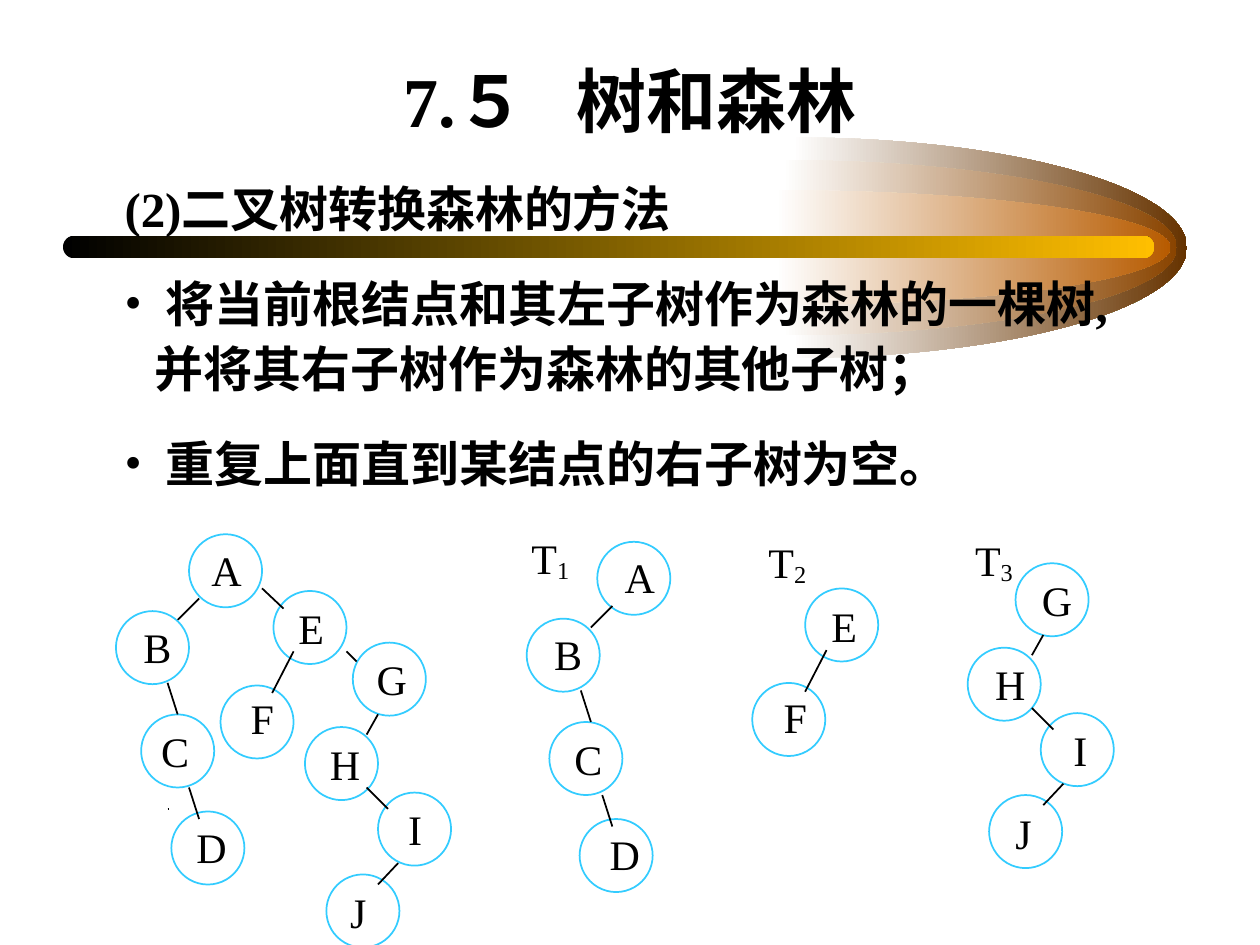
import lxml.etree
import pptx
import pptx.dml.color
import pptx.enum.shapes
import pptx.enum.text
import pptx.oxml.ns
import pptx.util

RGBColor = pptx.dml.color.RGBColor
BLACK = RGBColor(0x00, 0x00, 0x00)
WHITE = RGBColor(0xFF, 0xFF, 0xFF)
GOLD = RGBColor(0xFF, 0xBF, 0x00)
BROWNS = [RGBColor(0x66, 0x33, 0x00), RGBColor(0x89, 0x44, 0x00), RGBColor(0xB7, 0x5B, 0x00)]
RING = RGBColor(0x33, 0xCC, 0xFF)
FONT = "Times New Roman"
qn = pptx.oxml.ns.qn

deck = pptx.Presentation()
deck.slide_width = pptx.util.Inches(10)
deck.slide_height = pptx.util.Inches(7.5)
page = deck.slides.add_slide(deck.slide_layouts[5])
shapes = page.shapes

# The grid has 100 columns and 75 rows
COLUMN = deck.slide_width / 100
ROW = deck.slide_height / 75


def cells(left, top, width, height):
    return [round(left * COLUMN), round(top * ROW), round(width * COLUMN), round(height * ROW)]


def style(para, size, bold=False):
    for span in para.runs:
        span.font.name = FONT
        span.font.size = pptx.util.Pt(size)
        span.font.bold = bold
        span.font.color.rgb = BLACK


# Comet of nested half ellipses, then the bar: shape and end colours
KAPPA = 0.55  # control point distance of a quarter ellipse
decoration = []
for (left, top, height), brown in zip([(62.9, 10.9, 17.5), (62.1, 12.7, 13.9), (61.6, 15.1, 9.1)], BROWNS):
    x, y, width, tall = cells(left, top, 31.3, height)
    half = tall // 2
    builder = shapes.build_freeform(x, y)
    builder.add_line_segments([(x + width, y + half), (x, y + tall), (x, y + half)], close=True)
    comet = builder.convert_to_shape()
    # Turn the first two sides into quarter ellipses
    quarters = [
        [(width * KAPPA, 0), (width, half * (1 - KAPPA))],
        [(width, half * (1 + KAPPA)), (width * KAPPA, tall)],
    ]
    for side, controls in zip(list(comet._element.iter(qn("a:lnTo"))), quarters):
        side_end = side[0]
        curve = lxml.etree.Element(qn("a:cubicBezTo"))
        for control_x, control_y in controls:
            point = lxml.etree.SubElement(curve, qn("a:pt"))
            point.set("x", str(round(control_x)))
            point.set("y", str(round(control_y)))
        curve.append(side_end)
        side.getparent().replace(side, curve)
    decoration.append((comet, WHITE, brown))

bar = shapes.add_shape(pptx.enum.shapes.MSO_SHAPE.ROUNDED_RECTANGLE, *cells(5, 18.7, 86.6, 1.8))
bar.adjustments[0] = 0.5
decoration.append((bar, BLACK, GOLD))

for shape, first, last in decoration:
    shape.shadow.inherit = False
    shape.line.fill.background()
    shape.fill.gradient()
    shape.fill.gradient_angle = 0
    for stop, colour, position in zip(shape.fill.gradient_stops, (first, last), (0, 1)):
        stop.color.rgb = colour
        stop.position = position

# Title, with a widened space after the number
title = shapes.title
title.left, title.top, title.width, title.height = cells(7.5, 4.2, 85, 7.5)
title.text_frame.auto_size = pptx.enum.text.MSO_AUTO_SIZE.NONE
title.text_frame.vertical_anchor = pptx.enum.text.MSO_ANCHOR.BOTTOM
para = title.text_frame.paragraphs[0]
para.alignment = pptx.enum.text.PP_ALIGN.CENTER
for text in ("7.５", " ", "树和森林"):
    para.add_run().text = text
style(para, 40, bold=True)
para.runs[1]._r.get_or_add_rPr().set("spc", "2000")

# Method: a heading and two bullets
box = shapes.add_textbox(*cells(8.9, 13.2, 83.6, 26.4))
box.text_frame.word_wrap = True
box.text_frame.text = "\n".join([
    "(2)二叉树转换森林的方法",
    " 将当前根结点和其左子树作为森林的一棵树,并将其右子树作为森林的其他子树；",
    " 重复上面直到某结点的右子树为空。",
])
for index, para in enumerate(box.text_frame.paragraphs):
    para.line_spacing = 1.1
    if index > 0:
        para.space_before = pptx.util.Pt(17.5)
        properties = para._p.get_or_add_pPr()
        indent = round(2.4 * COLUMN)
        properties.set("marL", str(indent))
        properties.set("indent", str(-indent))
        lxml.etree.SubElement(properties, qn("a:buFont")).set("typeface", FONT)
        lxml.etree.SubElement(properties, qn("a:buChar")).set("char", "•")
    style(para, 28, bold=True)

# Binary tree: circle left and top, letter left and top
NODES = {
    "A": (15, 42.4, 15.8, 42.7),
    "B": (9.2, 48.5, 10.4, 48.8),
    "C": (11.2, 56.7, 11.8, 57.1),
    "D": (13.6, 64.4, 14.6, 64.7),
    "E": (21.7, 46.9, 22.7, 47.3),
    "F": (17.5, 54.4, 18.9, 54.5),
    "G": (28, 51, 28.9, 51.4),
    "H": (24.2, 57.7, 25.2, 58.1),
    "I": (30, 62.9, 31.4, 63.3),
    "J": (25.9, 69.4, 26.8, 69.9),
}
EDGES = {
    "AB": (15.8, 47.5, 14.1, 49.2),
    "BC": (13.3, 54.2, 14.1, 56.7),
    "CD": (15, 62.5, 15.8, 65),
    "AE": (20.8, 46.7, 22.5, 48.3),
    "EF": (23.3, 51.7, 21.6, 55),
    "EG": (27.5, 51.7, 28.3, 52.5),
    "GH": (30, 56.7, 29.1, 58.3),
    "HI": (29.1, 62.5, 30.8, 64.2),
    "IJ": (31.6, 68.5, 30, 70.2),
}
# Each tree: its nodes, shift of the letters and edges, shift of the circles
TREES = [
    ("ABCDEFGHIJ", (0, 0), (0, 0)),
    ("ABCD", (32.8, 0.6), (32.4, 0.6)),
    ("EF", (42.3, -0.1), (42.2, -0.2)),
    ("GHIJ", (52.8, -6.3), (52.6, -6.3)),
]
# In the first split tree B keeps its letter closer to its circle
NUDGES = {("ABCD", "B"): 0.2}
labels = [("T1", 41.2, 41.8, 6.6), ("T2", 60, 42.1, 8.5), ("T3", 76.4, 41.9, 5.8)]
lines = [(13.3, 64.2, 13.35, 64.2)]  # dot beside node C

for members, (right, down), (ring_right, ring_down) in TREES:
    for name in members:
        ring_left, ring_top, letter_left, letter_top = NODES[name]
        nudge = NUDGES.get((members, name), 0)
        labels.append((name, letter_left + right - nudge, letter_top + down, 4.2))
        ring = shapes.add_shape(
            pptx.enum.shapes.MSO_SHAPE.OVAL,
            *cells(ring_left + ring_right + nudge, ring_top + ring_down, 5.8, 5.8),
        )
        ring.shadow.inherit = False
        ring.fill.background()
        ring.line.color.rgb = RING
        ring.line.width = pptx.util.Pt(1)
    for (parent, child), (x1, y1, x2, y2) in EDGES.items():
        if parent in members and child in members:
            lines.append((x1 + right, y1 + down, x2 + right, y2 + down))

# Letters and tree names; a digit is lowered
for text, left, top, width in labels:
    box = shapes.add_textbox(*cells(left, top, width, 5))
    box.text_frame.word_wrap = True
    para = box.text_frame.paragraphs[0]
    for character in text:
        span = para.add_run()
        span.text = character
        if character.isdigit():
            span._r.get_or_add_rPr().set("baseline", "-12000")
    style(para, 24)

# Edges
for ends in lines:
    edge = shapes.add_connector(pptx.enum.shapes.MSO_CONNECTOR.STRAIGHT, *cells(*ends))
    edge.line.color.rgb = BLACK
    edge.line.width = pptx.util.Pt(1)
    lxml.etree.SubElement(edge._element.spPr, qn("a:effectLst"))

deck.save("out.pptx")
